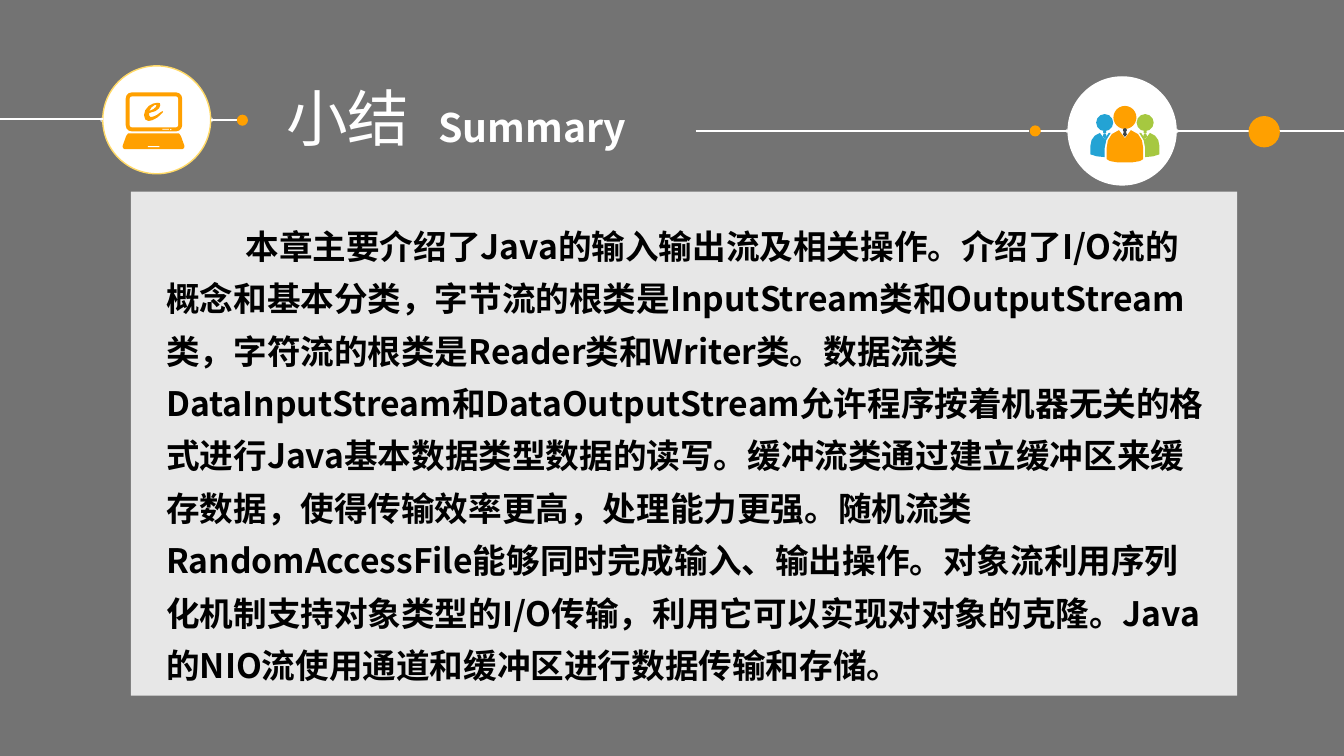
"""Build the chapter summary slide with its title band and text panel."""
from dataclasses import dataclass

from lxml import etree
from pptx import Presentation
from pptx.dml.color import RGBColor
from pptx.enum.shapes import MSO_CONNECTOR, MSO_SHAPE
from pptx.enum.text import MSO_AUTO_SIZE
from pptx.oxml.ns import qn
from pptx.util import Cm, Pt

RECTANGLE = MSO_SHAPE.RECTANGLE
ROUNDED = MSO_SHAPE.ROUNDED_RECTANGLE
OVAL = MSO_SHAPE.OVAL
STRAIGHT = MSO_CONNECTOR.STRAIGHT
GROW = MSO_AUTO_SIZE.SHAPE_TO_FIT_TEXT


@dataclass(frozen=True)
class Theme:
    font: str = "Noto Sans CJK SC"
    white: str = "FFFFFF"
    black: str = "000000"
    orange: str = "FFA000"
    gold: str = "FFD966"
    pale: str = "F2F2F2"
    blue: str = "23A3D4"
    green: str = "A6C840"
    slate: str = "3B4449"
    title_size: int = 44
    subtitle_size: int = 28
    body_size: int = 24


theme = Theme()
presentation = Presentation()
presentation.slide_width = Cm(33.87)
presentation.slide_height = Cm(19.05)
slide = presentation.slides.add_slide(presentation.slide_layouts[6])
shapes = slide.shapes


def paint(shape, color, opacity=100):
    shape.shadow.inherit = False
    shape.line.fill.background()
    shape.fill.solid()
    shape.fill.fore_color.rgb = RGBColor.from_string(color)
    if opacity < 100:
        color_element = shape.fill._xPr.find(qn("a:solidFill"))[0]
        etree.SubElement(color_element, qn("a:alpha"), val=str(opacity * 1000))
    return shape


def add_outline(points, color):
    corners = [(Cm(x), Cm(y)) for x, y in points]
    builder = shapes.build_freeform(*corners[0], scale=1.0)
    builder.add_line_segments(corners[1:], close=True)
    return paint(builder.convert_to_shape(), color)


backdrop = shapes.add_shape(RECTANGLE, 0, 0, presentation.slide_width, presentation.slide_height)
paint(backdrop, theme.black, 55)
panel = shapes.add_shape(RECTANGLE, Cm(3.3), Cm(4.83), Cm(27.88), Cm(12.7))
paint(panel, theme.white, 83)

badge_size = 2.72
rim_dot = 0.13
for left, middle, rim in [(2.59, 3.02, theme.gold), (26.92, 3.3, theme.white)]:
    for edge in (left, left + badge_size):
        dot = shapes.add_shape(OVAL, Cm(edge - rim_dot / 2), Cm(middle - rim_dot / 2),
                               Cm(rim_dot), Cm(rim_dot))
        paint(dot, theme.pale, 70)
    badge = shapes.add_shape(OVAL, Cm(left), Cm(middle - badge_size / 2),
                             Cm(badge_size), Cm(badge_size))
    paint(badge, theme.white)
    badge.line.color.rgb = RGBColor.from_string(rim)
    badge.line.width = Pt(1)

for start, end, height in [(0, 2.59, 3.0), (5.31, 6.12, 3.02), (17.53, 25.93, 3.3),
                           (26.09, 26.95, 3.3), (29.64, 33.87, 3.3)]:
    line = shapes.add_connector(STRAIGHT, Cm(start), Cm(height), Cm(end), Cm(height))
    line.line.color.rgb = RGBColor.from_string(theme.white)
    line.line.width = Pt(1.5)
    etree.SubElement(line._element.spPr, qn("a:effectLst"))

for center, height, size in [(6.11, 3.03, 0.28), (26.09, 3.3, 0.28), (31.86, 3.32, 0.79)]:
    bead = shapes.add_shape(OVAL, Cm(center - size / 2), Cm(height - size / 2), Cm(size), Cm(size))
    paint(bead, theme.orange)

laptop_center = 3.87
base_half = [(0.64, 3.36), (0.69, 3.43), (0.78, 3.68), (0.77, 3.73), (0.73, 3.76)]
add_outline([(laptop_center + x, y) for x, y in base_half]
            + [(laptop_center - x, y) for x, y in reversed(base_half)], theme.orange)
for kind, left, top, width, height, color in [
    (ROUNDED, 3.17, 2.33, 1.42, 0.98, theme.orange),
    (ROUNDED, 3.27, 2.43, 1.22, 0.78, theme.white),
    (RECTANGLE, 3.73, 3.68, 0.29, 0.03, theme.white),
    (RECTANGLE, 4.09, 3.25, 0.17, 0.02, theme.white),
    (OVAL, 4.29, 3.25, 0.03, 0.03, theme.white),
]:
    part = shapes.add_shape(kind, Cm(left), Cm(top), Cm(width), Cm(height))
    paint(part, color)
    if kind == ROUNDED:
        part.adjustments[0] = 0.15 if color == theme.orange else 0.08
letter = [(4.1, 2.84), (3.97, 2.96), (3.84, 3.03), (3.74, 3.05), (3.66, 3.01), (3.63, 2.9),
          (3.66, 2.78), (3.75, 2.67), (3.86, 2.61), (3.96, 2.59), (4.03, 2.6), (4.04, 2.65),
          (4.01, 2.73), (3.92, 2.8), (3.76, 2.85), (3.76, 2.91), (3.79, 2.95), (3.86, 2.94),
          (3.95, 2.9), (4.06, 2.82), (4.11, 2.8)]
add_outline(letter, theme.orange)
add_outline([(3.77, 2.79), (3.82, 2.71), (3.9, 2.65), (3.94, 2.65), (3.92, 2.7), (3.86, 2.75)],
            theme.white)

team_center = 28.35
leader_half = [(0.15, 3.28), (0.33, 3.38), (0.43, 3.54), (0.46, 3.73), (0.46, 4.01),
               (0.38, 4.06), (0.2, 4.09)]
leader_body = ([(0, 3.48)] + leader_half + [(0, 4.09)]
               + [(-x, y) for x, y in reversed(leader_half)])
member_body = [(0, 3.51), (0.12, 3.35), (0.25, 3.42), (0.33, 3.53), (0.36, 3.68), (0.36, 3.89),
               (0.2, 3.94), (0, 3.96), (0, 3.73), (-0.04, 3.53), (-0.15, 3.35), (-0.1, 3.35)]
for offset, side, body, head, head_middle, color, tie_color, knot, tie in [
    (0, 1, leader_body, 0.58, 2.96, theme.orange, theme.slate, 0.1, 3.33),
    (-0.51, -1, member_body, 0.43, 3.09, theme.blue, theme.blue, 0.08, 3.38),
    (0.51, 1, member_body, 0.43, 3.09, theme.green, theme.green, 0.08, 3.38),
]:
    center = team_center + offset
    add_outline([(center + side * x, y) for x, y in body], color)
    for size, middle, fill in [(head, head_middle, color), (knot, tie - 0.05, tie_color)]:
        circle = shapes.add_shape(OVAL, Cm(center - size / 2), Cm(middle - size / 2),
                                  Cm(size), Cm(size))
        paint(circle, fill)
    add_outline([(center - 0.03, tie), (center + 0.03, tie), (center + 0.05, tie + 0.06),
                 (center, tie + 0.12), (center - 0.05, tie + 0.06)], tie_color)

summary = (
    "本章主要介绍了Java的输入输出流及相关操作。介绍了I/O流的概念和基本分类，"
    "字节流的根类是InputStream类和OutputStream类，字符流的根类是Reader类和Writer类。"
    "数据流类DataInputStream和DataOutputStream允许程序按着机器无关的格式进行"
    "Java基本数据类型数据的读写。缓冲流类通过建立缓冲区来缓存数据，使得传输效率更高，"
    "处理能力更强。随机流类RandomAccessFile能够同时完成输入、输出操作。"
    "对象流利用序列化机制支持对象类型的I/O传输，利用它可以实现对对象的克隆。"
    "Java的NIO流使用通道和缓冲区进行数据传输和存储。"
)
for text, left, top, width, height, size, color, bold, indent, spacing in [
    ("小结", 6.96, 1.88, 4.57, 2.13, theme.title_size, theme.white, False, 0, 1.0),
    ("Summary", 10.8, 2.49, 5.89, 1.45, theme.subtitle_size, theme.white, True, 0, 1.0),
    (summary, 3.94, 5.26, 26.8, 12.07, theme.body_size, theme.black, True, 2, 1.3),
]:
    box = shapes.add_textbox(Cm(left), Cm(top), Cm(width), Cm(height))
    box.text_frame.word_wrap = True
    box.text_frame.auto_size = GROW
    paragraph = box.text_frame.paragraphs[0]
    paragraph.text = text
    paragraph.line_spacing = spacing
    paragraph.font.name = theme.font
    paragraph.font.size = Pt(size)
    paragraph.font.bold = bold
    paragraph.font.color.rgb = RGBColor.from_string(color)
    properties = paragraph._p.get_or_add_pPr()
    properties.set("indent", str(Cm(indent)))
    etree.SubElement(properties.find(qn("a:defRPr")), qn("a:ea"), typeface=theme.font)

presentation.save("out.pptx")
